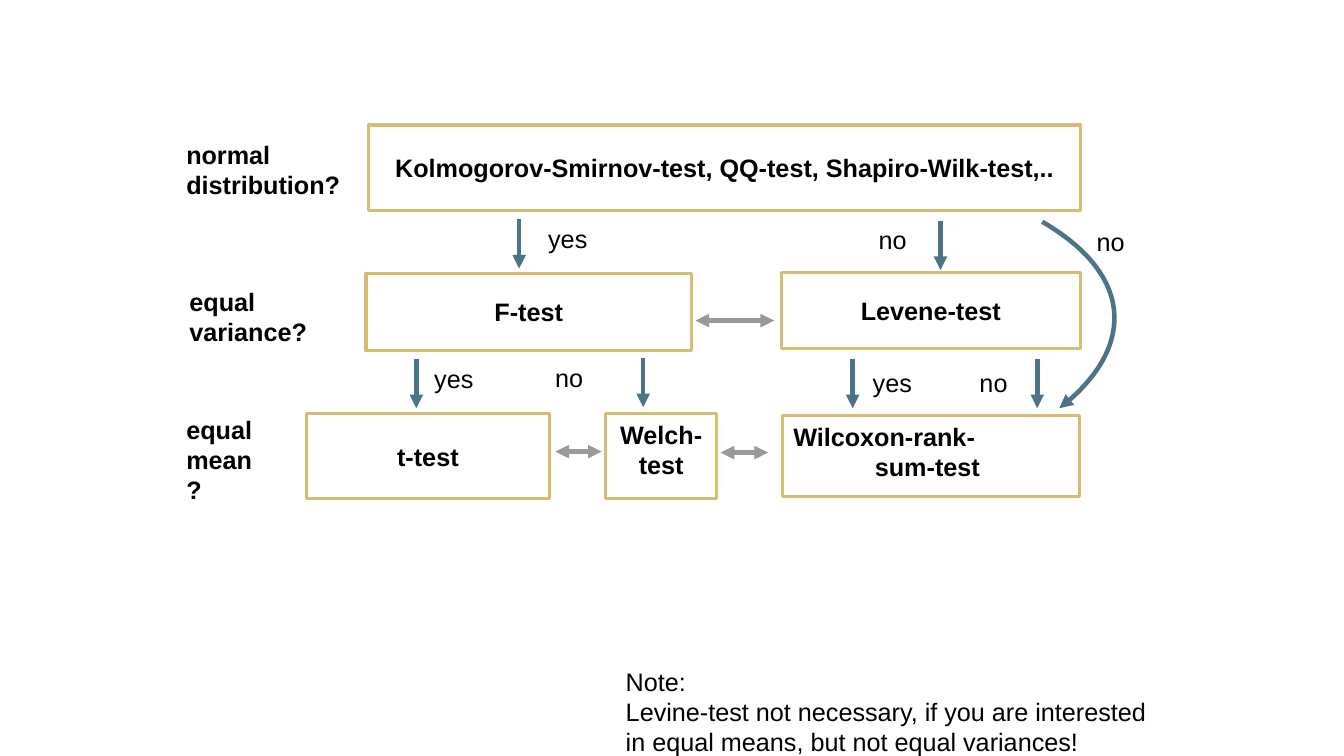
from dataclasses import dataclass

from lxml import etree
from pptx import Presentation
from pptx import util as u
from pptx.dml.color import RGBColor
from pptx.enum import shapes, text
from pptx.oxml.ns import qn

Pt = u.Pt


@dataclass(frozen=True)
class Theme:
    font: str = "Arial"
    size: float = 18
    ink: str = "000000"
    paper: str = "FFFFFF"
    frame: str = "D7BC74"
    flow: str = "4C7488"
    link: str = "999999"
    frame_width: float = 2.25
    arrow_width: float = 3.25


class TestChart:
    """Draws the elements of the decision chart; lengths are in points."""

    def __init__(self, slide, theme):
        self.slide = slide
        self.theme = theme

    def set_text(self, shape, lines, bold, alignments, insets):
        frame = shape.text_frame
        frame.word_wrap = True
        frame.margin_left = frame.margin_right = Pt(insets[0])
        frame.margin_top = frame.margin_bottom = Pt(insets[1])
        for index, line in enumerate(lines):
            paragraph = frame.paragraphs[0] if index == 0 else frame.add_paragraph()
            paragraph.text = line
            paragraph.alignment = alignments[index]
            paragraph.font.name = self.theme.font
            paragraph.font.size = Pt(self.theme.size)
            paragraph.font.bold = bold
            paragraph.font.color.rgb = RGBColor.from_string(self.theme.ink)
        return frame

    def label(self, left, top, width, height, *lines, bold=False):
        box = self.slide.shapes.add_textbox(Pt(left), Pt(top), Pt(width), Pt(height))
        self.set_text(box, lines, bold, [text.PP_ALIGN.LEFT] * len(lines), (7.2, 3.6))

    def test_box(self, left, top, width, height, *lines,
                 anchor=text.MSO_ANCHOR.MIDDLE, first=text.PP_ALIGN.CENTER):
        box = self.slide.shapes.add_shape(
            shapes.MSO_SHAPE.RECTANGLE, Pt(left), Pt(top), Pt(width), Pt(height))
        box.shadow.inherit = False
        box.fill.solid()
        box.fill.fore_color.rgb = RGBColor.from_string(self.theme.paper)
        box.line.color.rgb = RGBColor.from_string(self.theme.frame)
        box.line.width = Pt(self.theme.frame_width)
        alignments = [first] + [text.PP_ALIGN.CENTER] * (len(lines) - 1)
        frame = self.set_text(box, lines, True, alignments, (7.9, 4.3))
        frame.vertical_anchor = anchor

    def stroke(self, shape, color, ends):
        shape.line.color.rgb = RGBColor.from_string(color)
        shape.line.width = Pt(self.theme.arrow_width)
        outline = shape._element.spPr.find(qn("a:ln"))
        for end in ends:
            etree.SubElement(outline, qn(f"a:{end}"), type="triangle")

    def arrow(self, start, finish, color, ends):
        connector = self.slide.shapes.add_connector(
            shapes.MSO_CONNECTOR.STRAIGHT, *(Pt(value) for value in start + finish))
        self.stroke(connector, color, ends)
        etree.SubElement(connector._element.spPr, qn("a:effectLst"))

    def down_arrow(self, x, top, length=35.3):
        self.arrow((x, top), (x, top + length), self.theme.flow, ["tailEnd"])

    def two_way_arrow(self, left, right, y):
        self.arrow((left, y), (right, y), self.theme.link, ["headEnd", "tailEnd"])

    def curved_arrow(self, start, *controls_and_finish):
        builder = self.slide.shapes.build_freeform(Pt(start[0]), Pt(start[1]))
        builder.add_line_segments(
            [(Pt(x), Pt(y)) for x, y in controls_and_finish], close=False)
        curve = builder.convert_to_shape()
        curve.shadow.inherit = False
        curve.fill.background()
        # Merge the three segments into one cubic curve
        outline = next(curve._element.iter(qn("a:path")))
        bezier = etree.SubElement(outline, qn("a:cubicBezTo"))
        for segment in outline.findall(qn("a:lnTo")):
            bezier.append(segment[0])
            outline.remove(segment)
        self.stroke(curve, self.theme.flow, ["tailEnd"])


def main():
    presentation = Presentation()
    presentation.slide_width, presentation.slide_height = Pt(960), Pt(540)
    slide = presentation.slides.add_slide(presentation.slide_layouts[6])
    chart = TestChart(slide, Theme())

    # Questions on the left
    chart.label(126, 95.8, 124.6, 50.4, "normal", "distribution?", bold=True)
    chart.label(128.2, 200.9, 105.1, 50.4, "equal", "variance?", bold=True)
    chart.label(126, 292.3, 72, 50.4, "equal", "mean?", bold=True)

    # Tests, row by row
    chart.test_box(263.5, 89.3, 508.3, 61.2,
                   "Kolmogorov-Smirnov-test, QQ-test, Shapiro-Wilk-test,..")
    chart.test_box(261.4, 195.1, 232.6, 55.4, "F-test")
    chart.test_box(558, 194.4, 213.8, 54.7, "Levene-test")
    chart.test_box(218.9, 295.2, 173.5, 61.2, "t-test")
    chart.test_box(432.7, 295.2, 79.2, 61.2, "Welch-", "test",
                   anchor=text.MSO_ANCHOR.TOP)
    chart.test_box(558.7, 296.6, 212.4, 58.3, "Wilcoxon-rank-", "sum-test ",
                   anchor=text.MSO_ANCHOR.TOP, first=text.PP_ALIGN.LEFT)

    # Decisions
    for x, top in ((370.8, 156.5), (671.8, 157.7), (297.4, 256.3),
                   (459.4, 255.6), (609.1, 256.3), (740.9, 256.3)):
        chart.down_arrow(x, top)
    chart.curved_arrow((744.5, 158.4), (810, 196.6), (809.3, 251.3), (756.7, 291.6))
    for answer, left, top in (
            ("yes", 384.5, 156.2), ("no", 620.6, 156.6), ("no", 776.2, 158.2),
            ("yes", 303.1, 256.3), ("no", 389.5, 255.6),
            ("yes", 616.3, 258.5), ("no", 692.6, 258.5)):
        chart.label(left, top, 55.4, 28.8, answer)

    # Related tests
    for left, right, y in ((496.8, 553, 229), (396.7, 429.8, 322.6), (514.8, 548.6, 323.3)):
        chart.two_way_arrow(left, right, y)

    # Note
    chart.label(439.9, 472.3, 386.6, 72, "Note:",
                "Levine-test not necessary, if you are interested",
                "in equal means, but not equal variances!")

    presentation.save("out.pptx")


if __name__ == "__main__":
    main()
